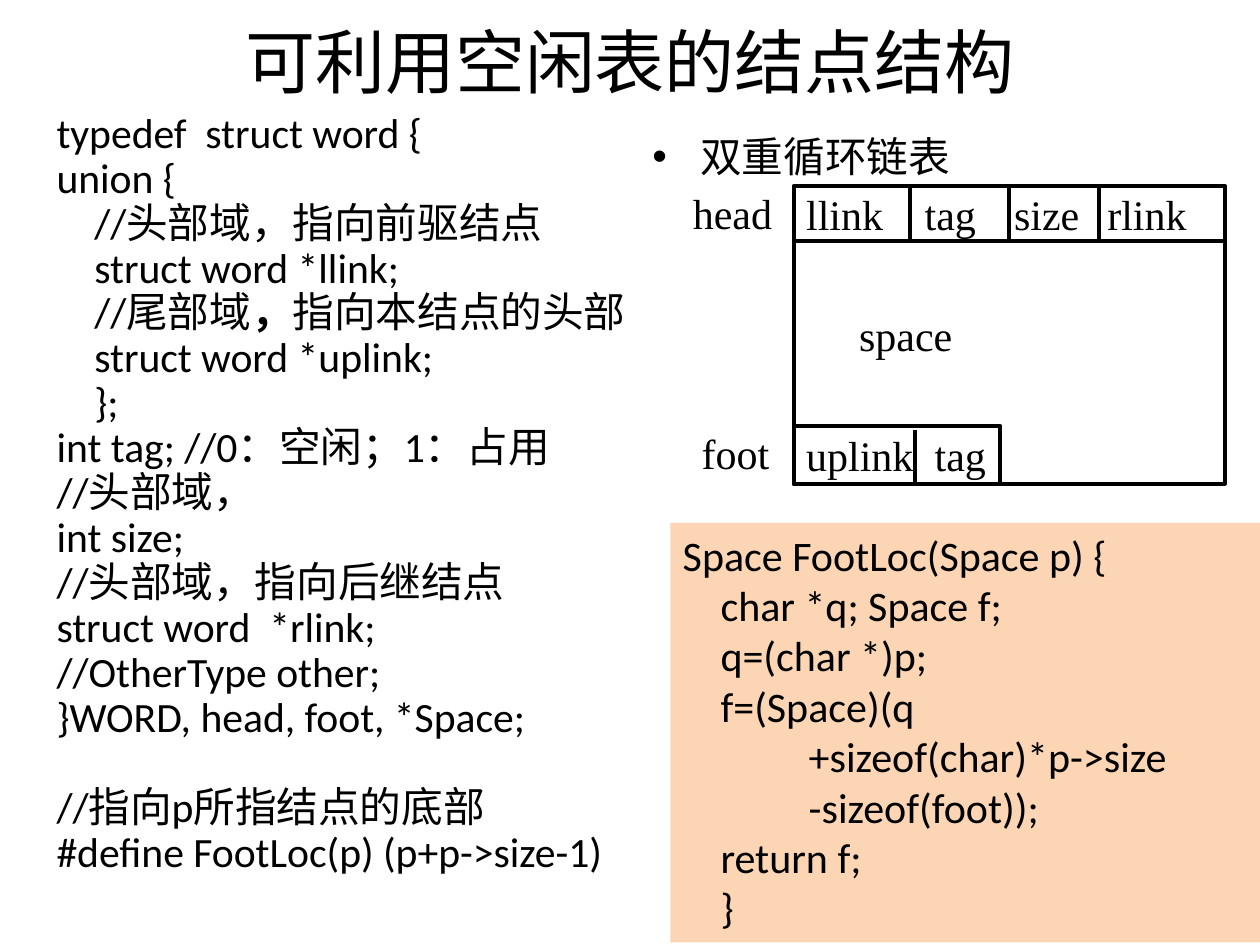
from lxml import etree
from pptx import Presentation
from pptx import util as u
from pptx.dml.color import RGBColor
from pptx.enum import shapes, text
from pptx.oxml.ns import qn

Inches = u.Inches
theme = {
    "ink": RGBColor.from_string("000000"),
    "peach": RGBColor.from_string("FCD5B5"),
    "sans": "Calibri",
    "serif": "Times New Roman",
    "title": 40,
    "body": 23.8,
    "code": 24,
    "rule": 2.25,
}


def write(shape, lines, size=theme["code"], font=theme["sans"], align=text.PP_ALIGN.LEFT,
          anchor=text.MSO_ANCHOR.TOP, pitch=None, bullet=None, hang=0):
    frame = shape.text_frame
    frame.word_wrap = True
    frame.vertical_anchor = anchor
    for i, (indent, gap, words) in enumerate(lines):
        para = frame.paragraphs[0] if i == 0 else frame.add_paragraph()
        para.alignment = align
        if pitch:
            para.line_spacing = pitch
        if gap:
            para.space_before = u.Pt(gap)
        props = para._p.get_or_add_pPr()
        props.set("marL", str(Inches(indent)))
        props.set("indent", str(Inches(-hang)))
        if bullet:
            etree.SubElement(props, qn("a:buFont"), typeface="Arial")
            etree.SubElement(props, qn("a:buChar"), char=bullet)
        for j, part in enumerate(words.split("|")):
            run = para.add_run()
            run.text = part
            run.font.size = u.Pt(size)
            run.font.name = font
            run.font.bold = j % 2 == 1
            run.font.color.rgb = theme["ink"]


deck = Presentation()
deck.slide_width, deck.slide_height = Inches(10), Inches(7.5)
slide = deck.slides.add_slide(deck.slide_layouts[5])

title = slide.shapes.title
title.left, title.top = Inches(0.5), Inches(-0.03)
title.width, title.height = Inches(9), Inches(1.02)
write(title, [(0, 0, "可利用空闲表的结点结构")], size=theme["title"],
      align=text.PP_ALIGN.CENTER, anchor=text.MSO_ANCHOR.MIDDLE)

struct = slide.shapes.add_textbox(Inches(0.35), Inches(0.84), Inches(5.21), Inches(6.54))
write(struct, [
    (0, 0, "typedef  struct word {"),
    (0, 0, "union {"),
    (0.3, 0, "//头部域，指向前驱结点"),
    (0.3, 0, "struct word *llink;"),
    (0.3, 0, "//尾部域|，|指向本结点的头部"),
    (0.3, 0, "struct word *uplink;"),
    (0.3, 0, "};"),
    (0, 0, "int tag; //0：空闲；1：占用"),
    (0, 0, "//头部域，"),
    (0, 0, "int size;"),
    (0, 0, "//头部域，指向后继结点"),
    (0, 0, "struct word  *rlink;"),
    (0, 0, "//OtherType other;"),
    (0, 0, "}WORD, head, foot, *Space;"),
    (0, 25.7, "//指向p所指结点的底部"),
    (0, 0, "#define FootLoc(p) (p+p->size-1)"),
], size=theme["body"], pitch=0.9)

point = slide.shapes.add_textbox(Inches(5.08), Inches(0.99), Inches(4.42), Inches(6.38))
write(point, [(0.38, 0, "双重循环链表")], size=theme["body"], bullet="•", hang=0.38)

node = slide.shapes.add_group_shape().shapes
boxes = []
for top, width, height in ((1.48, 3.42, 0.43), (3.38, 1.64, 0.46), (1.48, 3.42, 2.36)):
    box = node.add_shape(shapes.MSO_SHAPE.RECTANGLE, Inches(6.3), Inches(top),
                         Inches(width), Inches(height))
    box.shadow.inherit = False
    box.fill.background()
    box.line.color.rgb = theme["ink"]
    box.line.width = u.Pt(theme["rule"])
    boxes.append(box)
write(boxes[2], [(0.42, 0, "space")], font=theme["serif"], anchor=text.MSO_ANCHOR.MIDDLE)

for x, top, end, joined in (
    (7.22, 1.48, 1.91, False),
    (8, 1.48, 1.91, True),
    (8.72, 1.48, 1.91, False),
    (7.26, 3.41, 3.84, False),
):
    line = node.add_connector(shapes.MSO_CONNECTOR.STRAIGHT, Inches(x), Inches(top),
                              Inches(x), Inches(end))
    line.line.color.rgb = theme["ink"]
    line.line.width = u.Pt(theme["rule"])
    etree.SubElement(line._element.spPr, qn("a:effectLst"))
    if joined:
        line.begin_connect(boxes[0], 0)
        line.end_connect(boxes[0], 2)

for left, top, width, height, words in (
    (5.4, 1.47, 0.79, 0.43, "head"),
    (6.3, 1.48, 0.92, 0.43, "llink"),
    (7.24, 1.48, 0.76, 0.43, "tag"),
    (7.95, 1.48, 0.76, 0.43, "size"),
    (8.69, 1.48, 1, 0.43, "rlink"),
    (5.47, 3.38, 0.79, 0.43, "foot"),
    (6.3, 3.38, 1, 0.46, "uplink"),
    (7.32, 3.38, 0.62, 0.46, "tag"),
):
    label = node.add_textbox(Inches(left), Inches(top), Inches(width), Inches(height))
    label.text_frame.margin_right = 0
    write(label, [(0, 0, words)], font=theme["serif"], anchor=text.MSO_ANCHOR.MIDDLE)

code = slide.shapes.add_shape(shapes.MSO_SHAPE.RECTANGLE, Inches(5.32), Inches(4.15),
                              Inches(4.68), Inches(3.33))
code.shadow.inherit = False
code.fill.solid()
code.fill.fore_color.rgb = theme["peach"]
code.line.fill.background()
write(code, [
    (0, 0, "Space FootLoc(Space p) {"),
    (0.3, 0, "char *q; Space f;"),
    (0.3, 0, "q=(char *)p;"),
    (0.3, 0, "f=(Space)(q"),
    (1, 0, "+sizeof(char)*p->size"),
    (1, 0, "-sizeof(foot));"),
    (0.3, 0, "return f;"),
    (0.3, 0, "}"),
])

deck.save("out.pptx")
